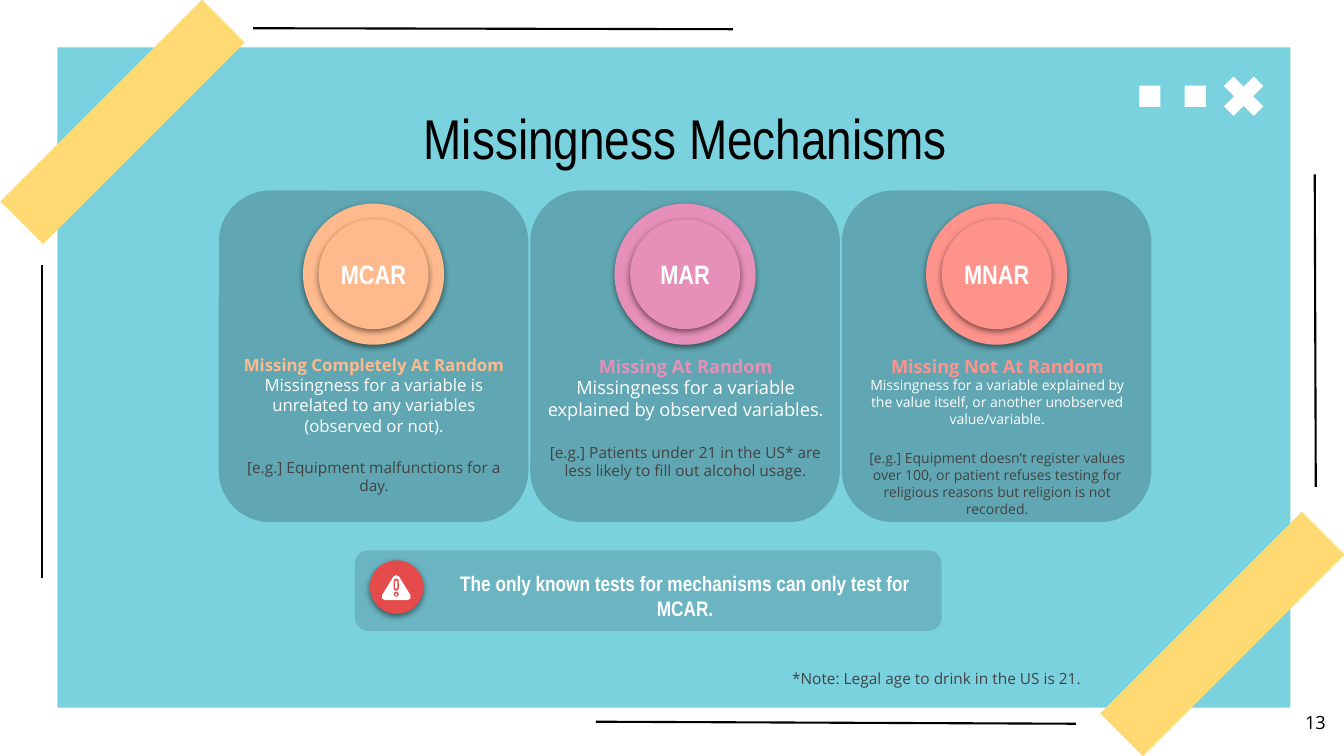
from dataclasses import dataclass

from lxml import etree
from pptx import Presentation
from pptx.dml.color import RGBColor
from pptx.enum.shapes import MSO_CONNECTOR, MSO_SHAPE
from pptx.enum.text import MSO_ANCHOR, MSO_AUTO_SIZE, PP_ALIGN
from pptx.oxml.ns import qn
from pptx.util import Inches, Pt

RECT, ROUND, OVAL = MSO_SHAPE.RECTANGLE, MSO_SHAPE.ROUNDED_RECTANGLE, MSO_SHAPE.OVAL
CROSS, STRAIGHT = MSO_SHAPE.MATH_MULTIPLY, MSO_CONNECTOR.STRAIGHT
TOP, MIDDLE = MSO_ANCHOR.TOP, MSO_ANCHOR.MIDDLE
CENTER, RIGHT = PP_ALIGN.CENTER, PP_ALIGN.RIGHT


@dataclass(frozen=True)
class Theme:
    heading: str = "Arial Narrow"
    body: str = "Open Sans"
    black: str = "000000"
    white: str = "FFFFFF"
    gray: str = "434343"
    panel: str = "7AD2DE"
    card: str = "365F6C"
    banner: str = "4D7C8B"
    tape: str = "FFDA72"
    alert: str = "E54B4B"
    orange: str = "FEBA8C"
    pink: str = "E68FB8"
    coral: str = "FE938C"
    title_pt: int = 40
    badge_pt: int = 19
    banner_pt: int = 15
    number_pt: int = 13
    note_pt: int = 11


T = Theme()
prs = Presentation()
prs.slide_width, prs.slide_height = Inches(13.33), Inches(7.5)
slide = prs.slides.add_slide(prs.slide_layouts[5])
shapes = slide.shapes


def add_shape(kind, x, y, w, h, color, opacity=100, shadow=False):
    sp = shapes.add_shape(kind, Inches(x), Inches(y), Inches(w), Inches(h))
    sp.shadow.inherit = False
    sp.fill.solid()
    sp.fill.fore_color.rgb = RGBColor.from_string(color)
    sp.line.fill.background()
    if opacity < 100:
        clr = sp.element.spPr.find(".//" + qn("a:srgbClr"))
        etree.SubElement(clr, qn("a:alpha"), val=str(opacity * 1000))
    if shadow:
        effects = sp.element.spPr.find(qn("a:effectLst"))
        outer = etree.SubElement(effects, qn("a:outerShdw"), blurRad=str(Pt(4.5)),
                                 dist=str(Pt(1.5)), dir="5400000", rotWithShape="0")
        clr = etree.SubElement(outer, qn("a:srgbClr"), val=T.black)
        etree.SubElement(clr, qn("a:alpha"), val="50000")
    return sp


def write(sp, lines, font, align=CENTER, anchor=TOP, inset=0.1):
    """Fill a shape with paragraphs, each a list of (text, size, color, bold) joined by line breaks."""
    tf = sp.text_frame
    tf.word_wrap = True
    tf.auto_size = MSO_AUTO_SIZE.NONE
    tf.vertical_anchor = anchor
    tf.margin_left = tf.margin_right = tf.margin_top = tf.margin_bottom = Inches(inset)
    for i, runs in enumerate(lines):
        p = tf.add_paragraph() if i else tf.paragraphs[0]
        p.alignment = align
        p.space_before = Pt(16 if i else 0)
        for j, (text, size, color, bold) in enumerate(runs):
            if j:
                p.add_line_break()
                etree.SubElement(p._p[-1], qn("a:rPr"), sz=str(size * 100))
            r = p.add_run()
            r.text = text
            r.font.name, r.font.size, r.font.bold = font, Pt(size), bold
            r.font.color.rgb = RGBColor.from_string(color)


# Frame: panel, window buttons, edge lines and tape
add_shape(RECT, 0.57, 0.47, 12.23, 6.55, T.panel)
close = add_shape(CROSS, 12.05, 0.67, 0.57, 0.57, T.white)
close.adjustments[0] = 0.235
for x in (11.3, 11.75):
    add_shape(RECT, x, 0.85, 0.21, 0.21, T.white)

for x1, y1, x2, y2 in ((13.04, 1.73, 13.05, 4.83), (0.42, 2.63, 0.42, 5.73),
                       (5.91, 7.16, 10.67, 7.18), (2.51, 0.28, 7.27, 0.29)):
    edge = shapes.add_connector(STRAIGHT, Inches(x1), Inches(y1), Inches(x2), Inches(y2))
    edge.line.width = Pt(1.5)
    edge.line.color.rgb = RGBColor.from_string(T.black)
    etree.SubElement(edge.element.spPr, qn("a:effectLst"))

for x, y in ((-0.2, 0.91), (10.71, 5.99)):
    add_shape(RECT, x, y, 2.83, 0.6, T.tape).rotation = 315

# Title, brought in front of the panel
title = shapes.title
shapes.element.append(title.element)
title.left, title.top, title.width, title.height = map(Inches, (2.42, 0.9, 8.75, 0.83))
write(title, [[("Missingness Mechanisms", T.title_pt, T.black, False)]], T.heading, inset=0.13)

# Mechanism cards: short name, color, name, description, example, and their sizes
mechanisms = (
    ("MCAR", T.orange, "Missing Completely At Random", 12,
     "Missingness for a variable is unrelated to any variables (observed or not).", 12,
     "[e.g.] Equipment malfunctions for a day.", 11),
    ("MAR", T.pink, "Missing At Random", 13,
     "Missingness for a variable explained by observed variables.", 13,
     "[e.g.] Patients under 21 in the US* are less likely to fill out alcohol usage.", 11),
    ("MNAR", T.coral, "Missing Not At Random", 13,
     "Missingness for a variable explained by the value itself, or another unobserved "
     "value/variable.", 10,
     "[e.g.] Equipment doesn’t register values over 100, or patient refuses testing for "
     "religious reasons but religion is not recorded.", 10),
)
CARD_W, CARD_STEP, BADGE_Y = 3.07, 3.09, 2.72
for i, (short, color, name, name_pt, about, about_pt, example, example_pt) in enumerate(mechanisms):
    x = 2.17 + i * CARD_STEP
    add_shape(ROUND, x, 1.89, CARD_W, 3.29, T.card, opacity=37)
    for d in (1.4, 1.09):
        badge = add_shape(OVAL, x + (CARD_W - d) / 2, BADGE_Y - d / 2, d, d, color, shadow=True)
    write(badge, [[(short, T.badge_pt, T.white, True)]], T.heading, anchor=MIDDLE, inset=0)
    box = shapes.add_textbox(Inches(x + 0.07), Inches(3.42), Inches(2.94), Inches(1.68))
    write(box, [[(name, name_pt, color, True), (about, about_pt, T.white, False)],
                [(example, example_pt, T.gray, False)]], T.body)

# Warning banner
add_shape(ROUND, 3.52, 5.46, 5.82, 0.8, T.banner, opacity=33)
box = shapes.add_textbox(Inches(4.25), Inches(5.56), Inches(5.09), Inches(0.71))
write(box, [[("The only known tests for mechanisms can only test for MCAR.",
              T.banner_pt, T.white, True)]], T.heading)
add_shape(OVAL, 3.67, 5.56, 0.53, 0.53, T.alert, shadow=True)

builder = shapes.build_freeform(Inches(3.93), Inches(5.74), scale=1.0)
builder.add_line_segments([(Inches(4.04), Inches(5.92)), (Inches(3.82), Inches(5.92))])
triangle = builder.convert_to_shape()
triangle.shadow.inherit = False
triangle.fill.solid()
triangle.fill.fore_color.rgb = triangle.line.color.rgb = RGBColor.from_string(T.white)
triangle.line.width = Pt(5)
etree.SubElement(triangle.element.spPr.find(qn("a:ln")), qn("a:round"))

for kind, y, w, h, color in ((ROUND, 5.74, 0.05, 0.12, T.alert), (ROUND, 5.76, 0.02, 0.08, T.white),
                             (OVAL, 5.87, 0.05, 0.05, T.alert), (OVAL, 5.89, 0.02, 0.02, T.white)):
    mark = add_shape(kind, 3.93 - w / 2, y, w, h, color)
    if kind == ROUND:
        mark.adjustments[0] = 0.5

# Slide number and footnote
box = shapes.add_textbox(Inches(12.48), Inches(6.93), Inches(0.8), Inches(0.57))
write(box, [[("13", T.number_pt, T.black, False)]], T.body, align=RIGHT, inset=0.13)
box = shapes.add_textbox(Inches(7.65), Inches(6.54), Inches(3.28), Inches(0.39))
write(box, [[("*Note: Legal age to drink in the US is 21.", T.note_pt, T.gray, False)]], T.body)

prs.save("out.pptx")
